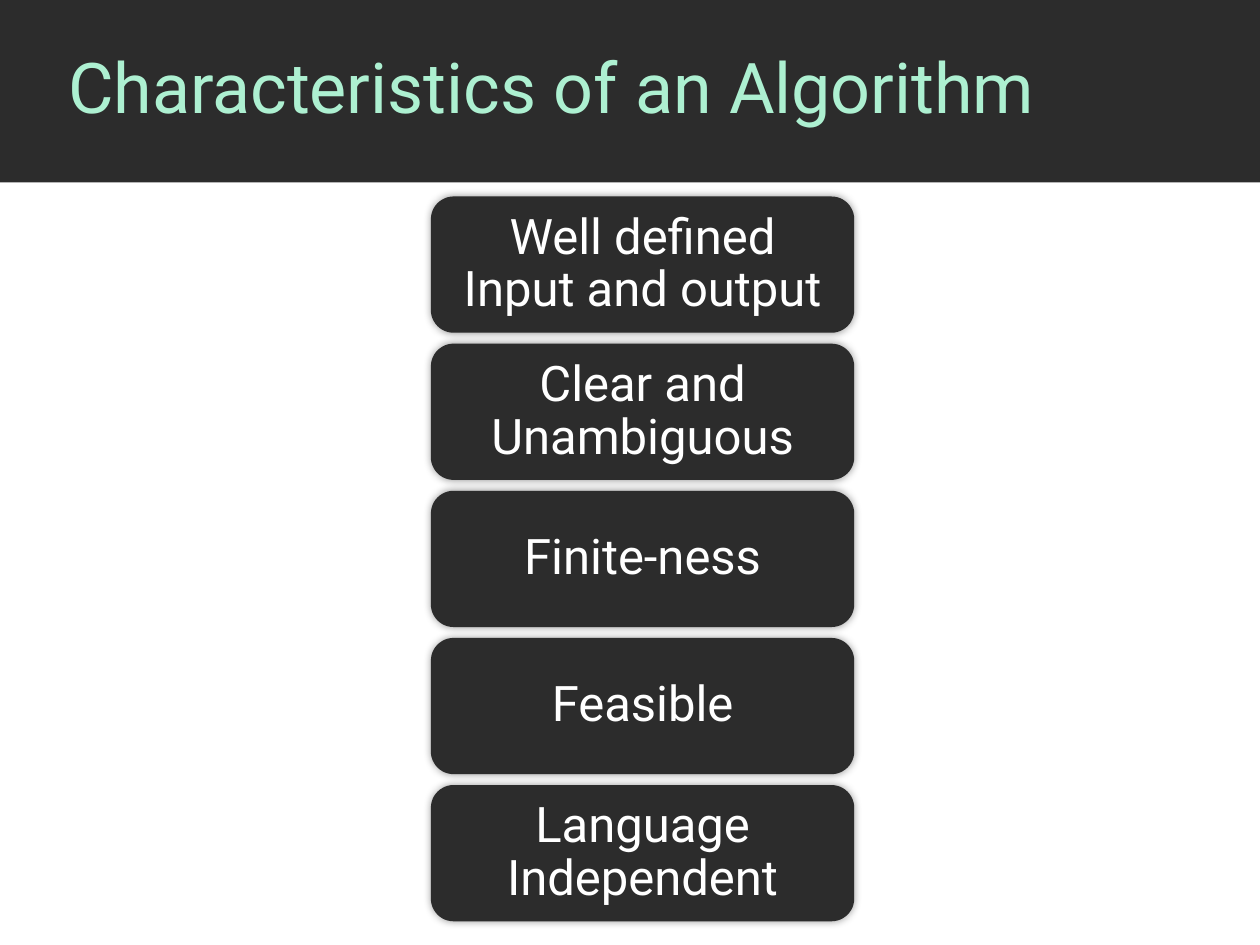
import pptx
import pptx.util
import pptx.dml.color
import pptx.enum.shapes
import pptx.enum.text
import pptx.oxml

COLORS = {"dark": "2C2C2C", "mint": "ADF0D1", "white": "FFFFFF", "shadow": "000000"}
FONT = "Roboto"
TITLE = "Characteristics of an Algorithm"
CHARACTERISTICS = [
    "Well defined Input and output",
    "Clear and Unambiguous",
    "Finite-ness",
    "Feasible",
    "Language Independent",
]
WIDTH = pptx.util.Inches(10)
HEIGHT = pptx.util.Inches(7.5)
ALIGN = pptx.enum.text.PP_ALIGN
SHAPES = pptx.enum.shapes.MSO_SHAPE
SHADOW = (
    '<a:effectLst xmlns:a="http://schemas.openxmlformats.org/drawingml/2006/main">'
    '<a:outerShdw blurRad="63500" dist="0" rotWithShape="0">'
    f'<a:srgbClr val="{COLORS["shadow"]}"><a:alpha val="40000"/></a:srgbClr>'
    "</a:outerShdw></a:effectLst>"
)


def apply_format(target, values):
    for name, value in values.items():
        setattr(target, name, value)


def color(name):
    return pptx.dml.color.RGBColor.from_string(COLORS[name])


def place(shape, box):
    names = ("left", "top", "width", "height")
    apply_format(shape, {name: int(length) for name, length in zip(names, box)})


def write_text(shape, text, size, color_name, alignment):
    frame = shape.text_frame
    frame.text = text
    apply_format(frame, {
        "word_wrap": True,
        "auto_size": pptx.enum.text.MSO_AUTO_SIZE.NONE,
        "vertical_anchor": pptx.enum.text.MSO_ANCHOR.MIDDLE,
    })
    paragraph = frame.paragraphs[0]
    apply_format(paragraph, {"alignment": alignment, "line_spacing": 0.9})
    font = paragraph.runs[0].font
    apply_format(font, {"name": FONT, "size": pptx.util.Pt(size)})
    font.color.rgb = color(color_name)


def add_dark_shape(slide, kind, box):
    shape = slide.shapes.add_shape(kind, *(int(length) for length in box))
    shape.shadow.inherit = False
    shape.fill.solid()
    shape.fill.fore_color.rgb = color("dark")
    shape.line.fill.background()
    return shape


def build_header(slide, box):
    left, top, width, height = box
    band = add_dark_shape(slide, SHAPES.RECTANGLE, box)
    title = slide.shapes.title
    indent = width * 0.044
    place(title, (left + indent, top, width - indent, height))
    write_text(title, TITLE, 40, "mint", ALIGN.LEFT)
    band.element.addnext(title.element)


def build_card(slide, box, text):
    card = add_dark_shape(slide, SHAPES.ROUNDED_RECTANGLE, box)
    properties = card.element.spPr
    properties.remove(properties.find(pptx.oxml.ns.qn("a:effectLst")))
    properties.append(pptx.oxml.parse_xml(SHADOW))
    side, edge = pptx.util.Inches(0.17), pptx.util.Inches(0.11)
    apply_format(card.text_frame, {
        "margin_left": side, "margin_right": side,
        "margin_top": edge, "margin_bottom": edge,
    })
    write_text(card, text, 28, "white", ALIGN.CENTER)


def build_card_stack(slide, box):
    left, top, width, height = box
    count = len(CHARACTERISTICS)
    gap_share = 0.08
    card_height = height / (count + (count - 1) * gap_share)
    for row, text in enumerate(CHARACTERISTICS):
        card_top = top + row * card_height * (1 + gap_share)
        build_card(slide, (left, card_top, width, card_height), text)


def main():
    presentation = pptx.Presentation()
    apply_format(presentation, {"slide_width": WIDTH, "slide_height": HEIGHT})
    slide = presentation.slides.add_slide(presentation.slide_layouts[5])
    build_header(slide, (0, 0, WIDTH, HEIGHT * 0.193))
    build_card_stack(slide, (WIDTH * 0.342, HEIGHT * 0.208, WIDTH * 0.336, HEIGHT * 0.767))
    presentation.save("out.pptx")


if __name__ == "__main__":
    main()
